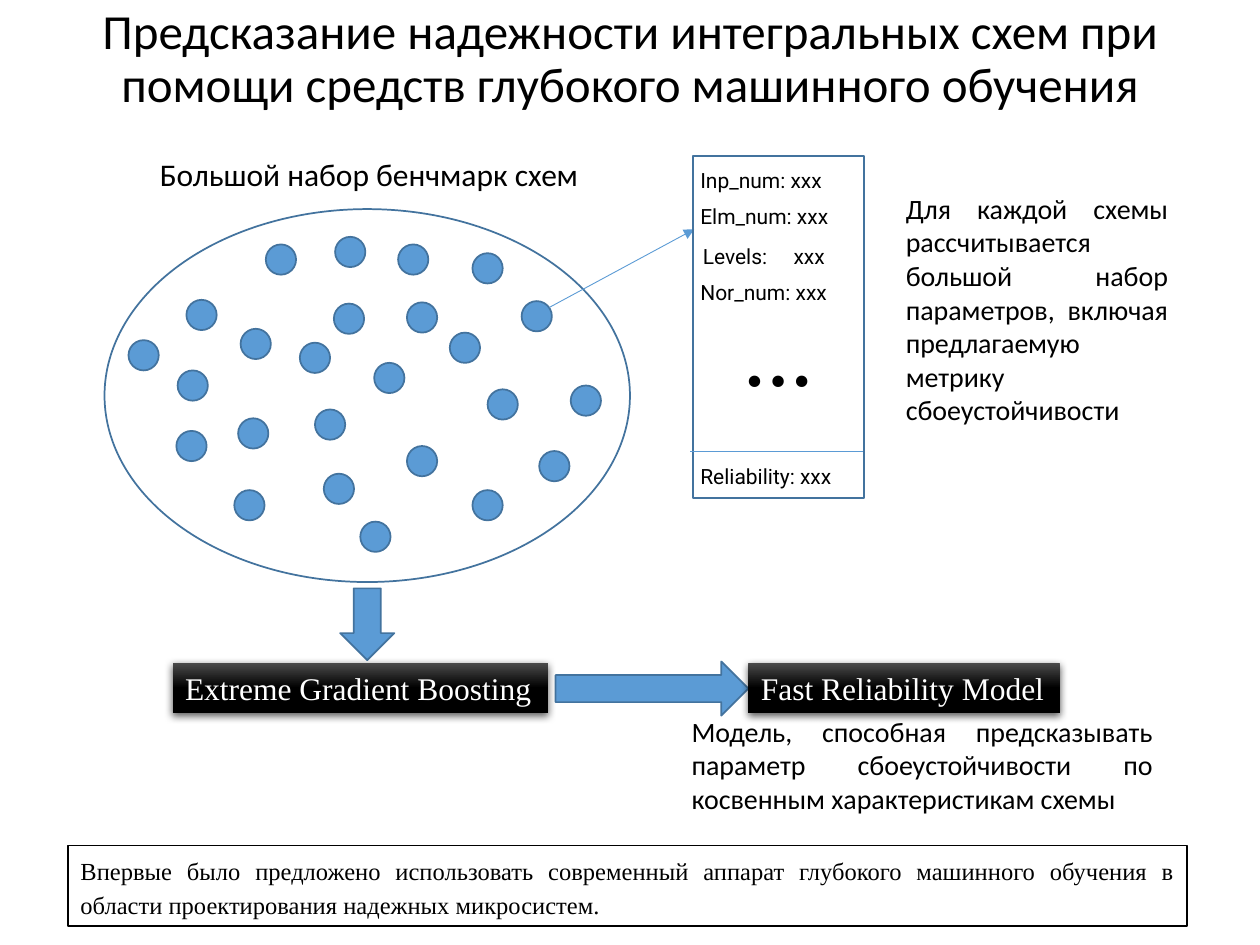
from dataclasses import dataclass

import pptx
import pptx.dml.color
import pptx.enum.shapes
import pptx.enum.text
import pptx.oxml
import pptx.oxml.ns
import pptx.util
from lxml import etree

Inches = pptx.util.Inches
Pt = pptx.util.Pt
Shape = pptx.enum.shapes.MSO_SHAPE
Align = pptx.enum.text.PP_ALIGN
qn = pptx.oxml.ns.qn

BLACK, WHITE, BLUE, DARK_BLUE = "000000", "FFFFFF", "5B9BD5", "43739E"
DOT_SIZE = 0.24


@dataclass
class Area:
    left: float
    top: float
    width: float
    height: float

    def lengths(self) -> list:
        return [Inches(v) for v in (self.left, self.top, self.width, self.height)]


@dataclass
class Label:
    text: str
    area: Area
    size: float
    font: str = "Calibri"
    color: str = BLACK
    align: Align = Align.LEFT
    wrap: bool = False
    bold: bool = False


DOTS = [
    (3.16, 1.94), (2.66, 1.88), (2.11, 1.94), (2.65, 2.41), (1.91, 2.61),
    (1.40, 3.42), (1.41, 2.94), (1.48, 2.38), (1.02, 2.70), (1.89, 3.32),
    (2.38, 2.72), (2.97, 2.88), (3.23, 2.40), (3.57, 2.64), (3.87, 3.09),
    (3.23, 3.54), (2.57, 3.76), (2.50, 3.25), (2.86, 4.14), (1.86, 3.89),
    (3.75, 3.89), (4.28, 3.58), (4.53, 3.06), (4.14, 2.39), (3.75, 2.01),
]

PARAMETERS = [
    Label("Inp_num: xxx", Area(5.46, 1.28, 1.24, 0.3), 12, "Roboto"),
    Label("Elm_num: xxx", Area(5.46, 1.57, 1.26, 0.3), 12, "Roboto"),
    Label("Levels:\txxx", Area(5.48, 1.88, 1.24, 0.3), 12, "Roboto"),
    Label("Nor_num: xxx", Area(5.46, 2.17, 1.25, 0.3), 12, "Roboto"),
    Label("Reliability: xxx", Area(5.46, 3.63, 1.32, 0.3), 12, "Roboto"),
    Label("…", Area(5.8, 2.46, 0.63, 0.77), 40, "Times New Roman", wrap=True, bold=True),
]

CAPTIONS = [
    Label("Большой набор бенчмарк схем", Area(1.17, 1.18, 3.52, 0.4), 18),
    Label("Для каждой схемы рассчитывается большой набор параметров, включая "
          "предлагаемую метрику сбоеустойчивости",
          Area(7.09, 1.47, 2.28, 1.99), 16, align=Align.JUSTIFY, wrap=True),
    Label("Модель, способная предсказывать параметр сбоеустойчивости по косвенным "
          "характеристикам схемы",
          Area(5.39, 5.62, 3.86, 0.91), 16, align=Align.JUSTIFY, wrap=True),
]

STAGES = [
    Label("Extreme Gradient Boosting", Area(1.37, 5.26, 2.98, 0.4), 18,
          "Times New Roman", WHITE),
    Label("Fast Reliability Model", Area(5.94, 5.26, 2.47, 0.4), 18,
          "Times New Roman", WHITE),
]

CONCLUSION = Label(
    "Впервые было предложено использовать современный аппарат глубокого машинного "
    "обучения в области проектирования надежных микросистем.",
    Area(0.54, 6.71, 8.88, 0.64), 14, "Times New Roman", align=Align.JUSTIFY, wrap=True)


def rgb(color: str):
    return pptx.dml.color.RGBColor.from_string(color)


def write(box, label: Label):
    """Put the label's text into a box and return its paragraph."""
    frame = box.text_frame
    frame.word_wrap = label.wrap
    frame.auto_size = pptx.enum.text.MSO_AUTO_SIZE.SHAPE_TO_FIT_TEXT
    para = frame.paragraphs[0]
    para.text = label.text
    para.alignment = label.align
    para.font.size = Pt(label.size)
    para.font.name = label.font
    para.font.bold = label.bold
    para.font.color.rgb = rgb(label.color)
    if "\t" in label.text:
        stops = etree.SubElement(para._p.get_or_add_pPr(), qn("a:tabLst"))
        etree.SubElement(stops, qn("a:tab"), pos=str(Inches(0.72)), algn="l")
        para._p.pPr.insert(0, stops)
    return para


def add_label(page, label: Label) -> None:
    write(page.shapes.add_textbox(*label.area.lengths()), label)


def add_figure(page, kind, area: Area, fill: str = "", line: str = DARK_BLUE,
               weight: float = 1):
    figure = page.shapes.add_shape(kind, *area.lengths())
    figure.shadow.inherit = False
    if fill:
        figure.fill.solid()
        figure.fill.fore_color.rgb = rgb(fill)
    else:
        figure.fill.background()
    figure.line.color.rgb = rgb(line)
    figure.line.width = Pt(weight)
    return figure


def add_line(page, start: tuple, end: tuple, arrow: bool = False) -> None:
    line = page.shapes.add_connector(
        pptx.enum.shapes.MSO_CONNECTOR.STRAIGHT, *map(Inches, start + end))
    line.line.color.rgb = rgb(BLUE)
    line.line.width = Pt(0.5)
    if arrow:
        etree.SubElement(line.line._get_or_add_ln(), qn("a:tailEnd"), type="triangle")
    etree.SubElement(line._element.spPr, qn("a:effectLst"))


def add_stage(page, label: Label) -> None:
    """Draw a black gradient bar with a soft shadow below it."""
    bar = add_figure(page, Shape.RECTANGLE, label.area)
    bar.line.fill.background()
    bar.fill.gradient()
    bar.fill.gradient_angle = 270
    for stop, (color, position) in zip(bar.fill.gradient_stops,
                                       [("4B4B4B", 0), (BLACK, 0.5)]):
        stop.color.rgb = rgb(color)
        stop.position = position
    effects = bar._element.spPr.find(qn("a:effectLst"))
    shadow = etree.SubElement(effects, qn("a:outerShdw"), blurRad=str(Pt(4.5)),
                              dist=str(Pt(1.5)), dir="5400000", rotWithShape="0")
    color = etree.SubElement(shadow, qn("a:srgbClr"), val=BLACK)
    etree.SubElement(color, qn("a:alpha"), val="63000")
    write(bar, label)


def add_title(page, text: str) -> None:
    title = page.shapes.title
    title.left, title.top, title.width, title.height = Area(0.12, 0.01, 9.76, 0.94).lengths()
    para = write(title, Label(text, None, 28, align=Align.CENTER, wrap=True))
    para.line_spacing = 0.9
    title.text_frame.auto_size = pptx.enum.text.MSO_AUTO_SIZE.NONE
    title.text_frame.vertical_anchor = pptx.enum.text.MSO_ANCHOR.MIDDLE


def main() -> None:
    deck = pptx.Presentation()
    deck.slide_width, deck.slide_height = Inches(10), Inches(7.5)
    page = deck.slides.add_slide(deck.slide_layouts[5])

    add_title(page, "Предсказание надежности интегральных схем при помощи средств "
                    "глубокого машинного обучения")
    note = add_figure(page, Shape.RECTANGLE, CONCLUSION.area, line=BLACK, weight=0.75)
    para = write(note, CONCLUSION)
    para.line_spacing = 1.15
    para.space_after = Pt(10)

    add_figure(page, Shape.OVAL, Area(0.83, 1.66, 4.17, 2.96))
    for left, top in DOTS:
        add_figure(page, Shape.OVAL, Area(left, top, DOT_SIZE, DOT_SIZE), BLUE)

    add_line(page, (4.36, 2.44), (5.51, 1.82), arrow=True)
    add_figure(page, Shape.RECTANGLE, Area(5.5, 1.24, 1.36, 2.71))
    add_line(page, (5.48, 3.58), (6.85, 3.58))
    for label in PARAMETERS + CAPTIONS:
        add_label(page, label)

    add_figure(page, Shape.DOWN_ARROW, Area(2.7, 4.67, 0.43, 0.57), BLUE)
    arrow = add_figure(page, Shape.DOWN_ARROW, Area(4.96, 4.7, 0.43, 1.53), BLUE)
    arrow.rotation = 270
    for stage in STAGES:
        add_stage(page, stage)

    deck.save("out.pptx")


if __name__ == "__main__":
    main()
